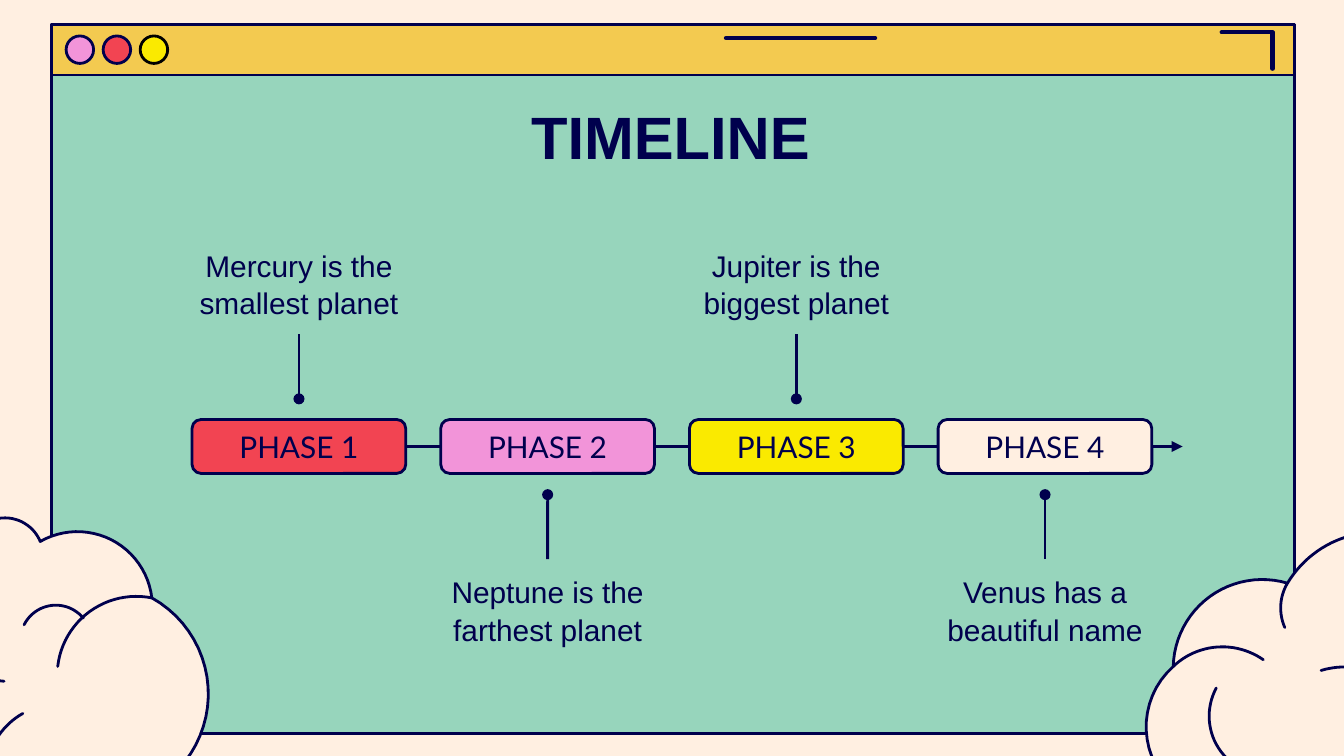
"""Build a timeline slide with four phases inside a retro window between two clouds."""
from dataclasses import dataclass
from math import atan, cos, hypot, sin

from lxml import etree
from pptx import Presentation
from pptx.dml.color import RGBColor
from pptx.enum.shapes import MSO_CONNECTOR as Connector, MSO_SHAPE as Shape
from pptx.enum.text import MSO_ANCHOR as Anchor, PP_ALIGN as Align
from pptx.oxml.ns import qn
from pptx.util import Cm, Pt


@dataclass(frozen=True)
class Theme:
    ink: str = "00004D"
    black: str = "000000"
    cream: str = "FFEFE1"
    mint: str = "97D5BC"
    amber: str = "F3CA50"
    red: str = "F24452"
    pink: str = "F294D9"
    yellow: str = "FAEA00"
    body_font: str = "Arial"
    label_font: str = "Lato"
    title_size: float = 32
    text_size: float = 16
    stroke: float = 1.5
    mark_stroke: float = 2.25


THEME = Theme()
TITLE = "TIMELINE"
PHASES = [
    ("PHASE 1", "Mercury is the smallest planet", THEME.red),
    ("PHASE 2", "Neptune is the farthest planet", THEME.pink),
    ("PHASE 3", "Jupiter is the biggest planet", THEME.yellow),
    ("PHASE 4", "Venus has a beautiful name", THEME.cream),
]
BUTTONS = [(THEME.pink, THEME.ink), (THEME.red, THEME.ink), (THEME.yellow, THEME.black)]
BAR_MARKS = [
    [(23.09, 0.61), (24.05, 0.61), (24.05, 1.3)],
    [(13.72, 0.72), (16.54, 0.72)],
]
WINDOW_LEFT, WINDOW_TOP, WINDOW_WIDTH, WINDOW_HEIGHT, BAR_HEIGHT = 0.98, 0.46, 23.48, 13.41, 0.96
BUTTON_LEFT, BUTTON_TOP, BUTTON_SIZE, BUTTON_PITCH = 1.25, 0.68, 0.52, 0.7
PHASE_LEFT, PHASE_TOP, PHASE_WIDTH, PHASE_HEIGHT, PHASE_PITCH = 3.63, 7.93, 4.04, 1.02, 4.7
CAPTION_WIDTH, CAPTION_HEIGHT, CAPTION_TOPS = 5.05, 1.93, (4.39, 10.57)
STEM_LENGTH, AXIS_END, INSET = 1.22, 22.35, 0.25
CM_PER_INCH, ARC_STEPS = 2.54, 24

CLOUDS = [
    {
        "lobes": [(-0.08, 5.94, 0.46), (1.09, 5.9, 0.44), (1.13, 4.45, 0.25),
                  (0.3, 4.03, 0.15), (-0.2, 3.98, 0.15), (-0.26, 4.9, 0.22)],
        "folds": [(1.13, 4.45, 0.43, 4.96, 0.19), (0.17, 5.31, -0.08, 5.94, 0.12),
                  (-0.26, 4.9, 0.03, 5.07, 0.04), (0.62, 4.6, 0.18, 4.65, 0.12)],
    },
    {
        "lobes": [(8.73, 4.96, 0.46), (9.28, 5.99, 0.4), (10.6, 5.39, 0.24),
                  (10.61, 4.47, 0.17), (10.43, 3.98, 0.15), (9.58, 4.34, 0.26)],
        "folds": [(10.6, 5.4, 9.83, 4.99, 0.18), (9.4, 4.91, 8.73, 4.96, 0.12),
                  (9.58, 4.34, 9.56, 4.67, 0.04), (9.05, 5.12, 9.28, 5.74, 0.15)],
    },
]


def rgb(value):
    return RGBColor.from_string(value)


def style(shape, fill=None, line=THEME.ink, width=THEME.stroke):
    shape.shadow.inherit = False
    if fill:
        shape.fill.solid()
        shape.fill.fore_color.rgb = rgb(fill)
    else:
        shape.fill.background()
    shape.line.color.rgb = rgb(line)
    shape.line.width = Pt(width)


def add_box(slide, kind, left, top, width, height, fill, line=THEME.ink):
    box = slide.shapes.add_shape(kind, Cm(left), Cm(top), Cm(width), Cm(height))
    style(box, fill, line)
    return box


def add_outline(slide, points, fill=None, width=THEME.stroke):
    start, *rest = [(Cm(x), Cm(y)) for x, y in points]
    builder = slide.shapes.build_freeform(*start)
    builder.add_line_segments(rest, close=bool(fill))
    outline = builder.convert_to_shape()
    style(outline, fill, width=width)
    outline.line._get_or_add_ln().set("cap", "rnd")


def trace_arc(x1, y1, x2, y2, bulge):
    x1, y1, x2, y2, bulge = (value * CM_PER_INCH for value in (x1, y1, x2, y2, bulge))
    chord = hypot(x2 - x1, y2 - y1)
    along_x, along_y = (x2 - x1) / chord, (y2 - y1) / chord
    half_angle = 2 * atan(2 * bulge / chord)
    radius = chord / 2 / sin(half_angle)
    points = []
    for step in range(ARC_STEPS + 1):
        angle = half_angle * (2 * step / ARC_STEPS - 1)
        along = radius * sin(angle)
        out = radius * (cos(angle) - cos(half_angle))
        points.append(((x1 + x2) / 2 + along * along_x - out * along_y,
                       (y1 + y2) / 2 + along * along_y + out * along_x))
    return points


def add_cloud(slide, lobes, folds):
    outline = []
    for (x1, y1, bulge), (x2, y2, _) in zip(lobes, lobes[1:] + lobes[:1]):
        outline += trace_arc(x1, y1, x2, y2, bulge)
    add_outline(slide, outline, THEME.cream)
    for fold in folds:
        add_outline(slide, trace_arc(*fold))


def add_connector(slide, start, end, tail):
    connector = slide.shapes.add_connector(Connector.STRAIGHT, *map(Cm, start + end))
    connector.line.color.rgb = rgb(THEME.ink)
    connector.line.width = Pt(THEME.stroke)
    etree.SubElement(connector.line._get_or_add_ln(), qn("a:tailEnd"), type=tail)
    etree.SubElement(connector.element.spPr, qn("a:effectLst"))
    return connector


def write(shape, text, font, size, anchor=Anchor.TOP, bold=False, spacing=1.0):
    frame = shape.text_frame
    frame.word_wrap = True
    frame.vertical_anchor = anchor
    frame.margin_left = frame.margin_right = frame.margin_top = frame.margin_bottom = Cm(INSET)
    frame.text = text
    para = frame.paragraphs[0]
    para.alignment = Align.CENTER
    para.line_spacing = spacing
    para.font.name = font
    para.font.size = Pt(size)
    para.font.bold = bold
    para.font.color.rgb = rgb(THEME.ink)


def add_window(slide):
    add_box(slide, Shape.RECTANGLE, WINDOW_LEFT, WINDOW_TOP, WINDOW_WIDTH, WINDOW_HEIGHT, THEME.mint)
    add_box(slide, Shape.RECTANGLE, WINDOW_LEFT, WINDOW_TOP, WINDOW_WIDTH, BAR_HEIGHT, THEME.amber)
    for points in BAR_MARKS:
        add_outline(slide, points, width=THEME.mark_stroke)
    for index, (fill, line) in enumerate(BUTTONS):
        left = BUTTON_LEFT + index * BUTTON_PITCH
        add_box(slide, Shape.OVAL, left, BUTTON_TOP, BUTTON_SIZE, BUTTON_SIZE, fill, line)


def add_title(slide):
    title = slide.shapes.title
    title.left, title.top, title.width, title.height = Cm(1.93), Cm(1.63), Cm(21.49), Cm(1.6)
    write(title, TITLE, THEME.body_font, THEME.title_size, bold=True)
    title.element.getparent().append(title.element)


def add_timeline(slide):
    middle = PHASE_TOP + PHASE_HEIGHT / 2
    axis = add_connector(slide, (PHASE_LEFT + PHASE_WIDTH, middle), (AXIS_END, middle), "triangle")
    for index, (label, caption_text, fill) in enumerate(PHASES):
        left = PHASE_LEFT + index * PHASE_PITCH
        center = left + PHASE_WIDTH / 2
        phase = add_box(slide, Shape.ROUNDED_RECTANGLE, left, PHASE_TOP, PHASE_WIDTH, PHASE_HEIGHT, fill)
        write(phase, label, THEME.label_font, THEME.text_size, Anchor.MIDDLE)
        if index == 0:
            axis.begin_connect(phase, 3)

        below = index % 2
        top = CAPTION_TOPS[below]
        caption = slide.shapes.add_textbox(
            Cm(center - CAPTION_WIDTH / 2), Cm(top), Cm(CAPTION_WIDTH), Cm(CAPTION_HEIGHT))
        write(caption, caption_text, THEME.body_font, THEME.text_size, spacing=1.05)
        start = top if below else top + CAPTION_HEIGHT
        end = start - STEM_LENGTH if below else start + STEM_LENGTH
        stem = add_connector(slide, (center, start), (center, end), "oval")
        stem.begin_connect(caption, 0 if below else 2)


def main():
    deck = Presentation()
    deck.slide_width, deck.slide_height = Cm(25.4), Cm(14.29)
    slide = deck.slides.add_slide(deck.slide_layouts[5])
    slide.background.fill.solid()
    slide.background.fill.fore_color.rgb = rgb(THEME.cream)
    add_window(slide)
    add_title(slide)
    add_timeline(slide)
    for cloud in CLOUDS:
        add_cloud(slide, **cloud)
    deck.save("out.pptx")


if __name__ == "__main__":
    main()
